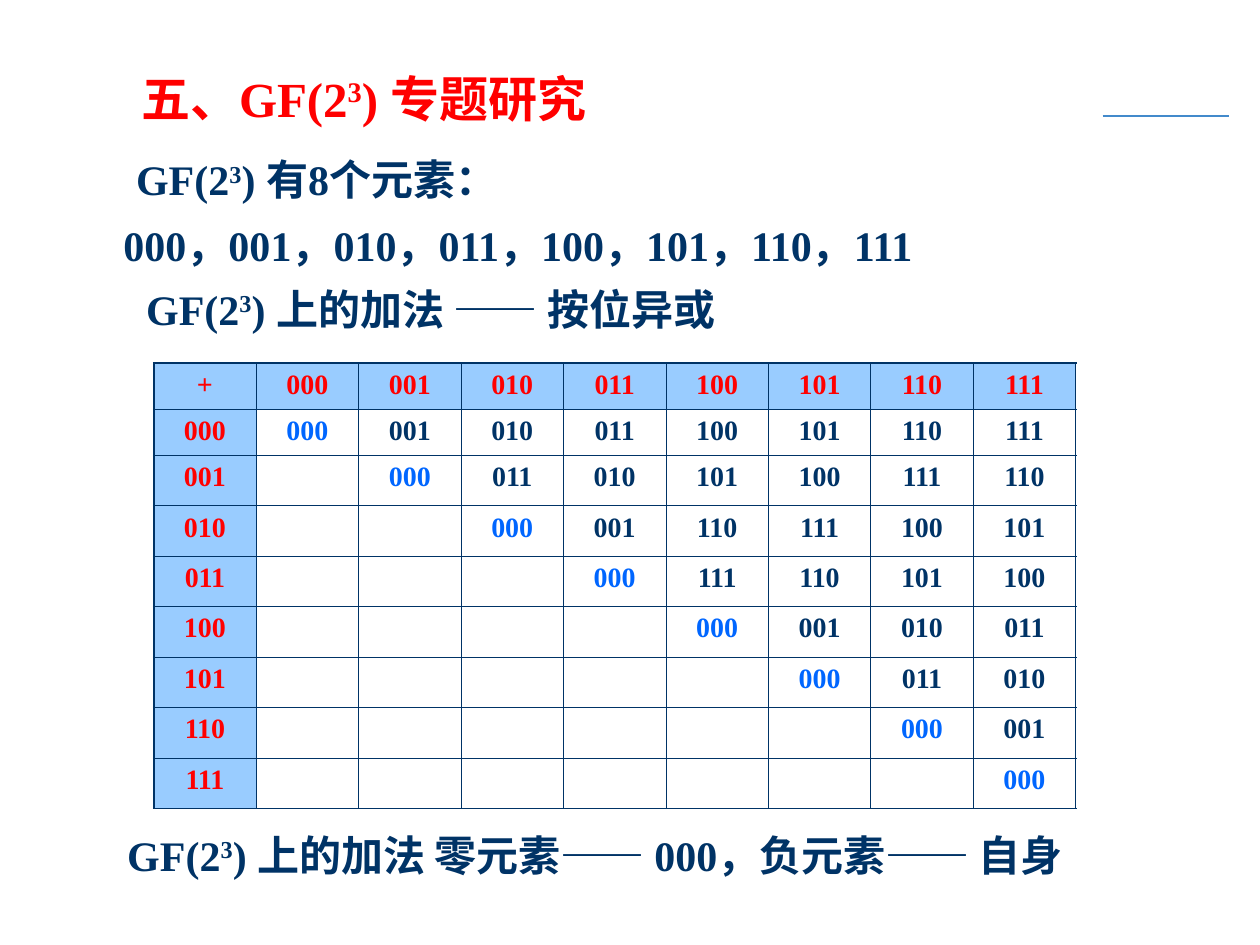
from lxml import etree
from pptx import Presentation
from pptx.dml.color import RGBColor
from pptx.enum.shapes import MSO_CONNECTOR
from pptx.enum.text import PP_ALIGN
from pptx.oxml.ns import qn
from pptx.util import Inches, Pt

STRAIGHT = MSO_CONNECTOR.STRAIGHT
CENTER = PP_ALIGN.CENTER
FONT = "Times New Roman"
RED, NAVY, BLUE, PALE = "FF0000", "003366", "0066FF", "99CCFF"
RULE_COLOR = "438ACB"
THIN, THICK = 0.45, 1.08


def color(hex_value):
    return RGBColor.from_string(hex_value)


def add_run(paragraph, text, size, hex_value, raised=False):
    run = paragraph.add_run()
    run.text = text
    font = run.font
    font.name, font.size, font.bold = FONT, Pt(size), True
    font.color.rgb = color(hex_value)
    if raised:
        font._element.set("baseline", "30000")


def add_text_line(slide, box, pieces, size, hex_value, indent=0, top_inset=0.04):
    """Place one line; every second piece is a superscript."""
    shape = slide.shapes.add_textbox(*map(Inches, box))
    frame = shape.text_frame
    frame.word_wrap = True
    frame.margin_left = frame.margin_right = Inches(0.08)
    frame.margin_top, frame.margin_bottom = Inches(top_inset), Inches(0.04)
    paragraph = frame.paragraphs[0]
    paragraph._p.get_or_add_pPr().set("marL", str(Inches(indent)))
    for index, piece in enumerate(pieces):
        add_run(paragraph, piece, size, hex_value, raised=index % 2 == 1)


def add_field_line(slide, box, before, after, size=24, hex_value=NAVY):
    """Place an indented line that names the field GF(2^3)."""
    top_inset = 0.15 if size == 24 else 0.1
    add_text_line(slide, box, [before + "GF(2", "3", after], size, hex_value,
                  indent=0.44, top_inset=top_inset)


def add_corner_rule(slide, left, top, width):
    rule = slide.shapes.add_connector(
        STRAIGHT, Inches(left), Inches(top), Inches(left + width), Inches(top))
    rule.line.color.rgb = color(RULE_COLOR)
    rule.line.width = Pt(0.75)
    etree.SubElement(rule._element.spPr, qn("a:effectLst"))


def set_borders(cell, widths):
    properties = cell._tc.get_or_add_tcPr()
    for side, width in widths.items():
        line = etree.SubElement(properties, qn(f"a:ln{side}"), w=str(Pt(width)))
        fill = etree.SubElement(line, qn("a:solidFill"))
        etree.SubElement(fill, qn("a:srgbClr"), val=NAVY)


def add_addition_table(slide, box, elements):
    """Fill the upper triangle of the table with bitwise XOR sums."""
    left, top, width, height = box
    count = len(elements) + 1
    last = count - 1
    table = slide.shapes.add_table(count, count, *map(Inches, box)).table
    table.first_row = table.horz_banding = False
    for index in range(count):
        table.columns[index].width = Inches(width / count)
        table.rows[index].height = Inches(height / count)

    for row in range(count):
        for column in range(count):
            cell = table.cell(row, column)
            set_borders(cell, {
                "L": THICK if column == 0 else THIN,
                "R": THICK if column == last else THIN,
                "T": THICK if row == 0 else THIN,
                "B": THICK if row == last else THIN,
            })
            is_header = row == 0 or column == 0
            if is_header:
                cell.fill.solid()
                cell.fill.fore_color.rgb = color(PALE)
                position = max(row, column)
                text = elements[position - 1] if position else "+"
                text_color = RED
            else:
                cell.fill.background()
                if column < row:
                    continue
                text = elements[(row - 1) ^ (column - 1)]
                text_color = BLUE if row == column else NAVY
            paragraph = cell.text_frame.paragraphs[0]
            paragraph.alignment = CENTER
            add_run(paragraph, text, 16, text_color)


def main():
    presentation = Presentation()
    presentation.slide_width, presentation.slide_height = Inches(10), Inches(7.5)
    slide = presentation.slides.add_slide(presentation.slide_layouts[6])
    elements = [f"{value:03b}" for value in range(8)]

    # Title and corner rule
    add_corner_rule(slide, 8.75, 0.92, 1)
    add_field_line(slide, (0.6, 0.44, 4.35, 0.62), "五、", ") 专题研究", 28, RED)

    # Elements of the field
    add_field_line(slide, (0.56, 1.07, 3.72, 0.62), "", ") 有8个元素：")
    add_text_line(slide, (0.9, 1.7, 7.62, 0.48), ["，".join(elements)], 24, NAVY)

    # Addition rule, table and conclusion
    add_field_line(slide, (0.64, 2.1, 5.22, 0.62), "", ") 上的加法 —— 按位异或")
    add_addition_table(slide, (1.22, 2.88, 7.32, 3.3), elements)
    add_field_line(slide, (0.49, 6.43, 8.3, 0.62), "",
                   ") 上的加法 零元素—— 000，负元素—— 自身")

    presentation.save("out.pptx")


if __name__ == "__main__":
    main()
